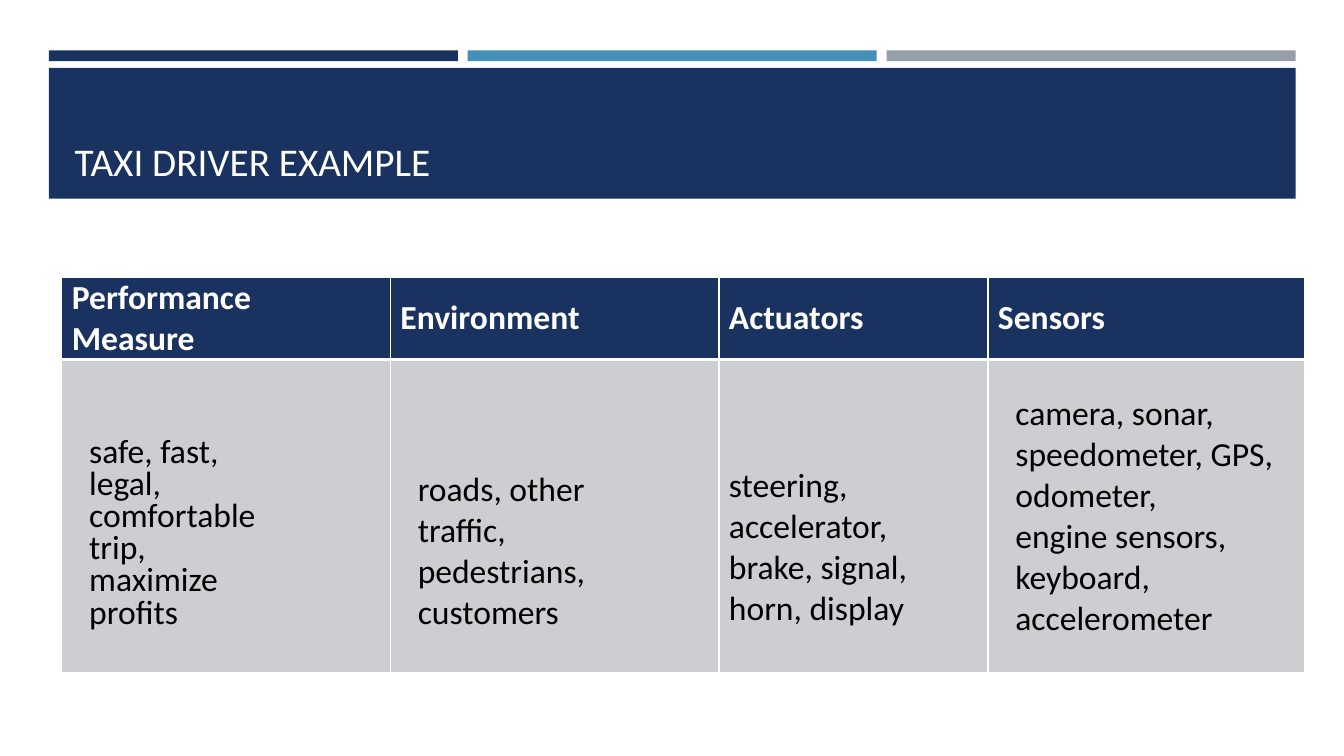
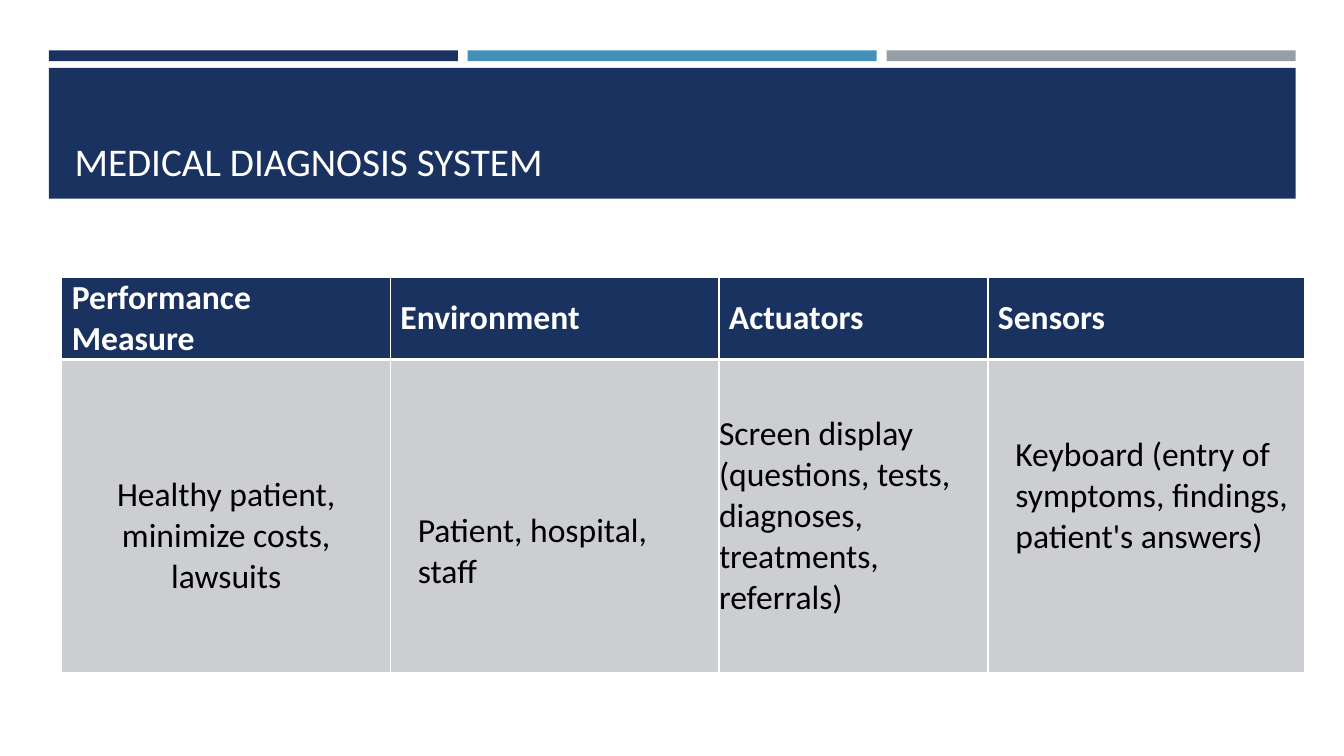
from dataclasses import dataclass

from lxml.etree import SubElement
from pptx import Presentation
from pptx.dml.color import RGBColor as Rgb
from pptx.enum.shapes import MSO_SHAPE as Shape
from pptx.enum.text import MSO_ANCHOR as Anchor, PP_ALIGN as Align
from pptx.oxml.ns import qn
from pptx.util import Cm, Pt


@dataclass(frozen=True)
class Theme:
    navy: Rgb = Rgb(0x1A, 0x32, 0x60)
    blue: Rgb = Rgb(0x45, 0x90, 0xB8)
    gray: Rgb = Rgb(0x96, 0x9F, 0xA7)
    pale: Rgb = Rgb(0xCD, 0xCE, 0xD2)
    white: Rgb = Rgb(0xFF, 0xFF, 0xFF)
    black: Rgb = Rgb(0, 0, 0)
    face: str = "Calibri"
    title: Pt = Pt(28)
    text: Pt = Pt(24)


T = Theme()
WIDTHS = [Cm(8.28), Cm(8.28), Cm(6.78), Cm(7.98)]
ROWS = [Cm(2.07), Cm(7.89)]
HEADS = ["Performance Measure", "Environment", "Actuators", "Sensors"]
NEAR, FAR = Cm(0.25), Cm(0.69)
LINE = Cm(1.03)
HEAD = {"margin_left": NEAR, "margin_right": Cm(1)}

# Each body cell: its paragraphs, cell format, paragraph format
TAXI = [
    (["safe, fast,", "legal,", "comfortable", "trip,", "maximize", "profits"],
     {"margin_left": FAR, "margin_top": LINE}, {"line_spacing": Pt(23)}),
    (["roads, other traffic, pedestrians, customers"],
     {"margin_left": FAR, "margin_right": Cm(2.5), "margin_top": Cm(1.79)}, {}),
    (["steering, accelerator, brake, signal, horn, display"],
     {"margin_left": NEAR, "margin_right": Cm(1.2), "margin_top": Cm(1.58)}, {}),
    (["camera, sonar, speedometer, GPS,",
      "odometer,\vengine sensors, keyboard, accelerometer"],
     {"margin_left": FAR}, {}),
]
MEDIC = [
    (["Healthy patient, minimize costs, lawsuits"],
     {"margin_left": NEAR, "margin_right": NEAR, "margin_top": LINE},
     {"alignment": Align.CENTER}),
    (["Patient, hospital, staff"],
     {"margin_left": FAR, "margin_right": Cm(1.2), "margin_top": Cm(1.79)}, {}),
    (["Screen display (questions, tests, diagnoses, treatments, referrals)"],
     {}, {}),
    (["Keyboard (entry of symptoms, findings, patient's answers)"],
     {"margin_left": FAR, "margin_bottom": LINE}, {}),
]


def apply(item, look):
    for name, value in look.items():
        setattr(item, name, value)


def write(frame, lines, color, size, bold=False, para=None):
    for i, line in enumerate(lines):
        p = frame.paragraphs[0] if i == 0 else frame.add_paragraph()
        p.text = line
        apply(p, para or {})
        for run in p.runs:
            apply(run.font, {"name": T.face, "size": size, "bold": bold})
            run.font.color.rgb = color


def block(slide, box, color):
    rect = slide.shapes.add_shape(Shape.RECTANGLE, *box)
    rect.shadow.inherit = False
    rect.fill.solid()
    rect.fill.fore_color.rgb = color
    rect.line.fill.background()


def bars(slide, x, y, width, height):
    gap = Cm(0.25)
    each = (width - 2 * gap) // 3
    for i, color in enumerate([T.navy, T.blue, T.gray]):
        block(slide, (x + i * (each + gap), y, each, height), color)


def banner(slide, x, y, width, height, title):
    block(slide, (x, y, width, height), T.navy)
    pad = Cm(0.4)
    box = slide.shapes.add_textbox(x + pad, y + Cm(0.25),
                                   width - 2 * pad, height - Cm(0.5))
    apply(box.text_frame, {"word_wrap": True,
                           "vertical_anchor": Anchor.BOTTOM})
    write(box.text_frame, [title], T.white, T.title)


def edge(cell, base):
    """Draw white borders, the bottom one with the given width."""
    props = cell._tc.get_or_add_tcPr()
    sides = {"L": Pt(1), "R": Pt(1), "T": Pt(1), "B": base}
    for i, (side, width) in enumerate(sides.items()):
        line = SubElement(props, qn("a:ln" + side), w=str(width))
        fill = SubElement(line, qn("a:solidFill"))
        SubElement(fill, qn("a:srgbClr"), val=str(T.white))
        props.insert(i, line)


def style(cell, color, look, base):
    sides = ("left", "right", "top", "bottom")
    apply(cell, {f"margin_{side}": 0 for side in sides})
    apply(cell, {"vertical_anchor": Anchor.MIDDLE, **look})
    cell.fill.solid()
    cell.fill.fore_color.rgb = color
    edge(cell, base)


def grid(slide, x, y, body):
    table = slide.shapes.add_table(2, len(HEADS), x, y,
                                   sum(WIDTHS), sum(ROWS)).table
    for row, height in zip(table.rows, ROWS):
        row.height = height
    for i, (head, (lines, look, para)) in enumerate(zip(HEADS, body)):
        table.columns[i].width = WIDTHS[i]
        top, low = table.cell(0, i), table.cell(1, i)
        style(top, T.navy, HEAD, Pt(3))
        write(top.text_frame, [head], T.white, T.text, True)
        style(low, T.pale, look, Pt(1))
        write(low.text_frame, lines, T.black, T.text, para=para)
        if i < len(HEADS):
            top.text_frame.word_wrap = low.text_frame.word_wrap = True


def page(deck, title, body):
    slide = deck.slides.add_slide(deck.slide_layouts[6])
    left, width = Cm(1.23), Cm(31.42)
    bars(slide, left, Cm(1.27), width, Cm(0.27))
    banner(slide, left, Cm(1.71), width, Cm(3.3), title)
    grid(slide, Cm(1.56), Cm(6.99), body)


def main():
    deck = Presentation()
    apply(deck, {"slide_width": Cm(33.87), "slide_height": Cm(19.05)})
    page(deck, "TAXI DRIVER EXAMPLE", TAXI)
    page(deck, "MEDICAL DIAGNOSIS SYSTEM", MEDIC)
    deck.save("out.pptx")


if __name__ == "__main__":
    main()
